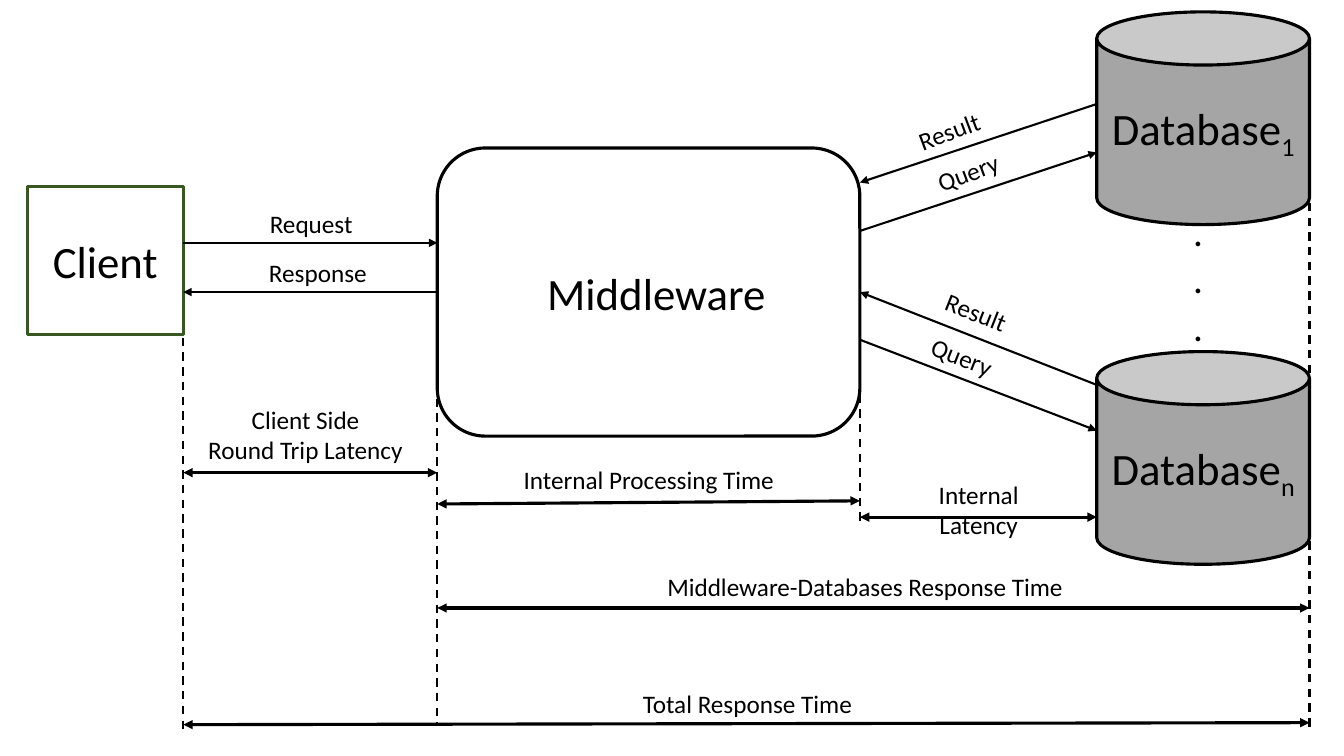
from pptx import Presentation
from pptx.dml.color import RGBColor
from pptx.enum.dml import MSO_LINE
from pptx.enum.shapes import MSO_CONNECTOR, MSO_SHAPE
from pptx.enum.text import MSO_ANCHOR, PP_ALIGN
from pptx.oxml.ns import qn
from pptx.util import Cm, Pt
from lxml.etree import SubElement

# Content: columns shared by shapes, arrows and guides (cm)
CLIENT, LEFT, RIGHT, STORE, END = 4.62, 11.02, 21.67, 27.64, 33.0
SIDE = END - STORE
BLACK, WHITE, GREY, GREEN = "000000", "FFFFFF", "A5A5A5", "385723"

# name: kind, left, top, width, height, fill, line, text, subscript
BLOCKS = {
    "first": (MSO_SHAPE.CAN, STORE, 0.3, SIDE, SIDE, GREY, BLACK, "Database", "1"),
    "last": (MSO_SHAPE.CAN, STORE, 8.86, SIDE, SIDE, GREY, BLACK, "Database", "n"),
    "client": (MSO_SHAPE.RECTANGLE, 0.69, 4.7, CLIENT - 0.69, 3.73,
               WHITE, GREEN, "Client", ""),
    "middle": (MSO_SHAPE.ROUNDED_RECTANGLE, LEFT, 3.73, RIGHT - LEFT, 7.26,
               WHITE, BLACK, "", ""),
}

# lines, left, top, width, height, size, centred, turn
LABELS = [
    (["Middleware"], 13.54, 6.58, 6.4, 1.63, 32, False, 0),
    ([".", ".", "."], 29.82, 5.11, 1.02, 3.84, 28, False, 0),
    (["Request"], 6.55, 5.13, 3.61, 1.02, 18, False, 0),
    (["Response"], 6.53, 6.35, 4.06, 1.02, 18, False, 0),
    (["Result"], 22.86, 2.74, 2.39, 1.02, 18, False, -20.6),
    (["Query"], 23.34, 3.78, 2.39, 1.02, 18, False, -20.6),
    (["Result"], 23.55, 7.42, 2.41, 1.02, 18, False, 21.6),
    (["Query"], 23.19, 8.53, 2.39, 1.04, 18, False, 21.6),
    (["Client Side", "Round Trip Latency"], 4.8, 10.06, 5.8, 1.8, 18, True, 0),
    (["Internal Processing Time"], 12.6, 11.58, 7.5, 1.02, 18, True, 0),
    (["Internal Latency"], 22.48, 11.96, 4.37, 1.02, 18, True, 0),
    (["Middleware-Databases Response Time"], 16.3, 14.27, 11, 1.02, 18, True, 0),
    (["Total Response Time"], 15.95, 17.22, 7.32, 1.02, 18, False, 0),
]

# x1, y1, x2, y2, joined begin, joined end
FLOWS = [
    (CLIENT, 6.12, LEFT, 6.12, None, None),
    (LEFT, 7.36, CLIENT, 7.36, ("middle", 1), None),
    (STORE, 2.62, RIGHT, 4.6, None, None),
    (RIGHT, 5.82, STORE, 3.84, None, None),
    (STORE, 9.7, RIGHT, 7.36, None, ("middle", 3)),
    (RIGHT, 8.56, STORE, 10.85, None, None),
]
SPANS = [
    (CLIENT, 11.91, LEFT, 11.91),
    (LEFT, 12.7, RIGHT, 12.62),
    (RIGHT, 13.03, STORE, 13.03),
    (LEFT, 15.32, END, 15.32),
    (CLIENT, 18.26, END, 18.21),
]
GUIDES = [(CLIENT, 8.51, 18.42), (LEFT, 9.3, 18.26),
          (RIGHT, 4.75, 13.28), (END, 5.11, 18.44)]

deck = Presentation()
deck.slide_width, deck.slide_height = Cm(33.87), Cm(19.05)
slide = deck.slides.add_slide(deck.slide_layouts[6])
shapes = slide.shapes


def paint(part, tone):
    if hasattr(part, "solid"):
        part.solid()
        part = part.fore_color
    part.rgb = RGBColor.from_string(tone)


def style(item, values):
    for key, value in values.items():
        setattr(item, key, value)


def write(para, text, size, low=False):
    run = para.add_run()
    run.text = text
    style(run.font, {"name": "Calibri", "size": Pt(size)})
    paint(run.font.fill, BLACK)
    if low:
        run.font._element.set("baseline", "-25000")


def link(x1, y1, x2, y2, width, heads=(), dash=None):
    line = shapes.add_connector(MSO_CONNECTOR.STRAIGHT,
                                Cm(x1), Cm(y1), Cm(x2), Cm(y2))
    style(line.line, {"width": Pt(width), "dash_style": dash})
    paint(line.line.fill, BLACK)
    stroke = line.line._get_or_add_ln()
    for head in heads:
        SubElement(stroke, qn(head), type="triangle")
    SubElement(line._element.spPr, qn("a:effectLst"))
    return line


# Blocks
made = {}
for name, (kind, x, y, w, h, fill, edge, text, low) in BLOCKS.items():
    block = made[name] = shapes.add_shape(kind, Cm(x), Cm(y), Cm(w), Cm(h))
    block.shadow.inherit = False
    paint(block.fill, fill)
    paint(block.line.fill, edge)
    block.line.width = Pt(2.25)
    if text:
        block.text_frame.vertical_anchor = MSO_ANCHOR.MIDDLE
        para = block.text_frame.paragraphs[0]
        para.alignment = PP_ALIGN.CENTER
        write(para, text, 32)
        if low:
            write(para, low, 32, True)

# Message arrows
for *ends, start, stop in FLOWS:
    flow = link(*ends, 1.5, ["a:tailEnd"])
    if start:
        flow.begin_connect(made[start[0]], start[1])
    if stop:
        flow.end_connect(made[stop[0]], stop[1])

# Dashed guides and time spans
for x, top, base in GUIDES:
    link(x, top, x, base, 1.5, dash=MSO_LINE.DASH)
for ends in SPANS:
    link(*ends, 2.25, ["a:headEnd", "a:tailEnd"])

# Labels
for lines, x, y, w, h, size, mid, turn in LABELS:
    box = shapes.add_textbox(Cm(x), Cm(y), Cm(w), Cm(h))
    box.rotation = turn
    frame = box.text_frame
    frame.word_wrap = True
    for i, text in enumerate(lines):
        para = frame.add_paragraph() if i else frame.paragraphs[0]
        para.alignment = PP_ALIGN.CENTER if mid else PP_ALIGN.LEFT
        write(para, text, size)

deck.save("out.pptx")
